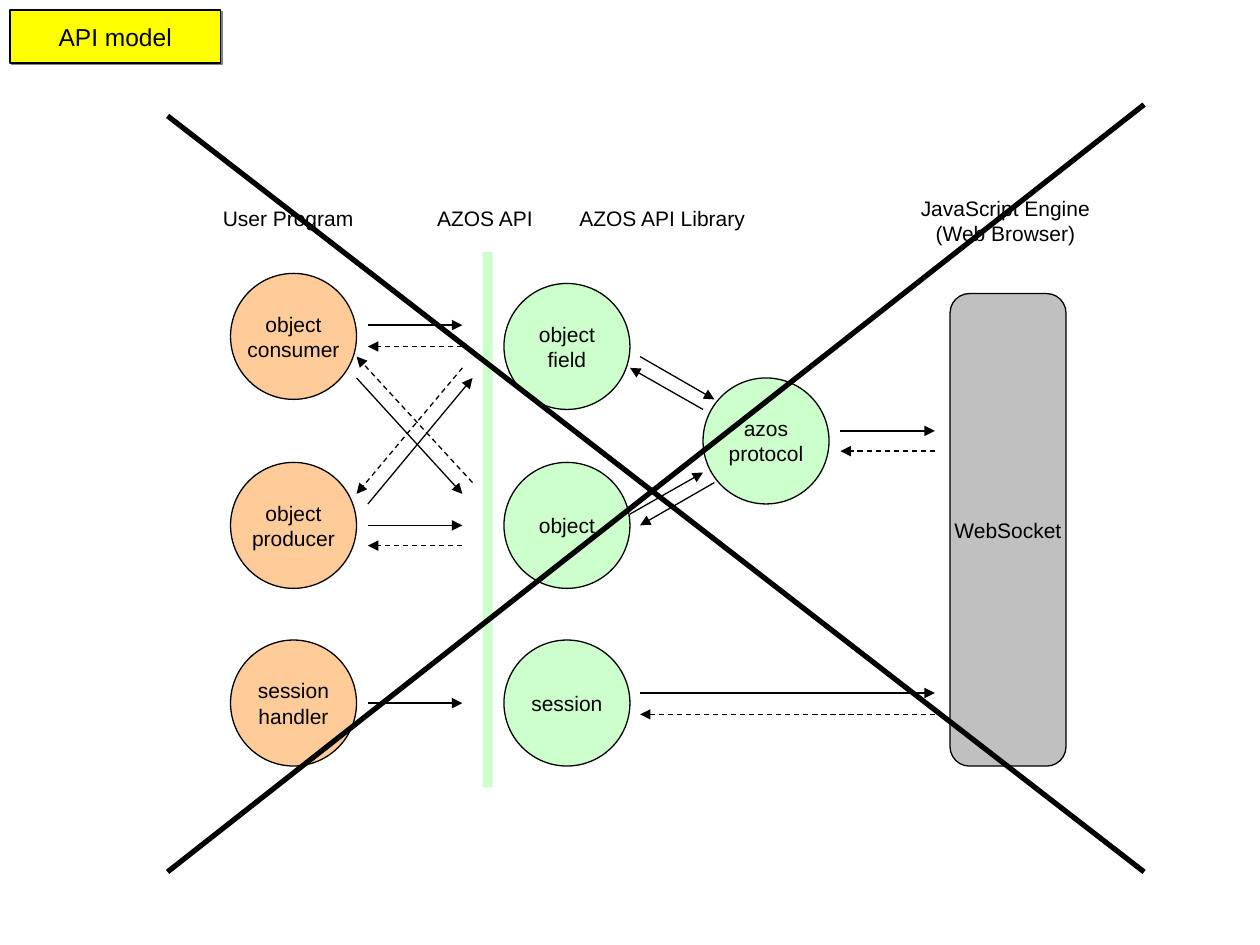
from lxml.etree import SubElement
from pptx import Presentation
from pptx.dml.color import RGBColor
from pptx.enum.dml import MSO_LINE as Dash
from pptx.enum.shapes import MSO_CONNECTOR as Conn, MSO_SHAPE as Kind
from pptx.enum.text import MSO_ANCHOR as Anchor, PP_ALIGN as Align
from pptx.oxml.ns import qn
from pptx.util import Inches, Pt

COLORS = {"black": "000000", "yellow": "FFFF00", "green": "CCFFCC",
          "orange": "FFCC99", "gray": "C0C0C0", "shade": "808080"}

# Circles, one inch wide: text, left, top, colour
NODES = [
    ("session", 4, 5.08, "green"),
    ("object\nfield", 4, 2.25, "green"),
    ("object", 4, 3.67, "green"),
    ("object\nproducer", 1.83, 3.67, "orange"),
    ("object\nconsumer", 1.83, 2.17, "orange"),
    ("session\nhandler", 1.83, 5.08, "orange"),
    ("azos\nprotocol", 5.58, 3, "green"),
]
# Headings: text, left, top, width, height, alignment
HEADS = [
    ("User Program", 1.67, 1.58, 1.24, 0.3, Align.LEFT),
    ("AZOS API", 3.37, 1.58, 0.98, 0.3, Align.LEFT),
    ("AZOS API Library", 4.5, 1.58, 1.53, 0.3, Align.LEFT),
    ("JavaScript Engine\n(Web Browser)", 7.21, 1.5, 1.54, 0.5, Align.CENTER),
]
# Arrows: x and y of the start, x and y of the end
CALLS = [
    (2.92, 2.58, 3.67, 2.58), (2.83, 3, 3.67, 3.92),
    (2.92, 4, 3.75, 3), (2.92, 4.17, 3.67, 4.17),
    (2.92, 5.58, 3.67, 5.58), (5.08, 5.5, 7.42, 5.5),
    (6.67, 3.42, 7.42, 3.42), (5.08, 2.83, 5.67, 3.17),
    (5.58, 3.25, 5, 2.92), (5, 4.08, 5.58, 3.75),
    (5.67, 3.83, 5.08, 4.17),
]
REPLIES = [
    (3.67, 2.75, 2.92, 2.75), (3.75, 3.83, 2.83, 2.83),
    (3.67, 2.92, 2.83, 3.92), (3.67, 4.33, 2.92, 4.33),
    (7.42, 5.67, 5.08, 5.67), (7.42, 3.58, 6.67, 3.58),
]
CROSS = [(1.33, 6.92, 9.08, 0.83), (9.08, 6.92, 1.33, 0.92)]

deck = Presentation()
deck.slide_width, deck.slide_height = Inches(10), Inches(7.5)
slide = deck.slides.add_slide(deck.slide_layouts[6])
shapes = slide.shapes


def color(name):
    return RGBColor.from_string(COLORS[name])


def write(shape, text, size=12, align=Align.CENTER, anchor=Anchor.MIDDLE):
    frame = shape.text_frame
    frame.text = text
    frame.word_wrap = False
    frame.vertical_anchor = anchor
    for para in frame.paragraphs:
        para.alignment = align
        for run in para.runs:
            run.font.name, run.font.size = "Arial", Pt(size)
            run.font.color.rgb = color("black")


def block(kind, box, fill, text="", size=12, edge=True):
    shape = shapes.add_shape(kind, *map(Inches, box))
    shape.shadow.inherit = False
    shape.fill.solid()
    shape.fill.fore_color.rgb = color(fill)
    if edge:
        shape.line.color.rgb = color("black")
        shape.line.width = Pt(0.75)
    else:
        shape.line.fill.background()
    if text:
        write(shape, text, size)
    return shape


def stroke(ends, width=0.75, dashed=False, head=True):
    link = shapes.add_connector(Conn.STRAIGHT, *map(Inches, ends))
    link.line.color.rgb = color("black")
    link.line.width = Pt(width)
    if dashed:
        link.line.dash_style = Dash.DASH
    if head:
        SubElement(link.line._get_or_add_ln(), qn("a:tailEnd"), type="triangle")
    SubElement(link._element.spPr, qn("a:effectLst"))


# Title with a hard shadow
title = block(Kind.RECTANGLE, (0.08, 0.08, 1.67, 0.42), "yellow", "API model", 14)
effects = title._element.spPr.find(qn("a:effectLst"))
shadow = SubElement(effects, qn("a:outerShdw"), blurRad="0",
                    dist=str(Pt(1.4)), dir="2700000", algn="ctr", rotWithShape="0")
SubElement(shadow, qn("a:srgbClr"), val=COLORS["shade"])

# Circles, socket and API boundary
for text, x, y, fill in NODES:
    block(Kind.OVAL, (x, y, 1, 1), fill, text)
block(Kind.ROUNDED_RECTANGLE, (7.54, 2.33, 0.92, 3.75), "gray", "WebSocket")
block(Kind.RECTANGLE, (3.83, 2, 0.08, 4.25), "green", edge=False)

# Headings
for text, x, y, w, h, align in HEADS:
    write(shapes.add_textbox(*map(Inches, (x, y, w, h))), text,
          align=align, anchor=Anchor.TOP)

# Arrows, then the cross over everything
for ends in CALLS:
    stroke(ends)
for ends in REPLIES:
    stroke(ends, dashed=True)
for ends in CROSS:
    stroke(ends, width=3, head=False)

deck.save("out.pptx")
